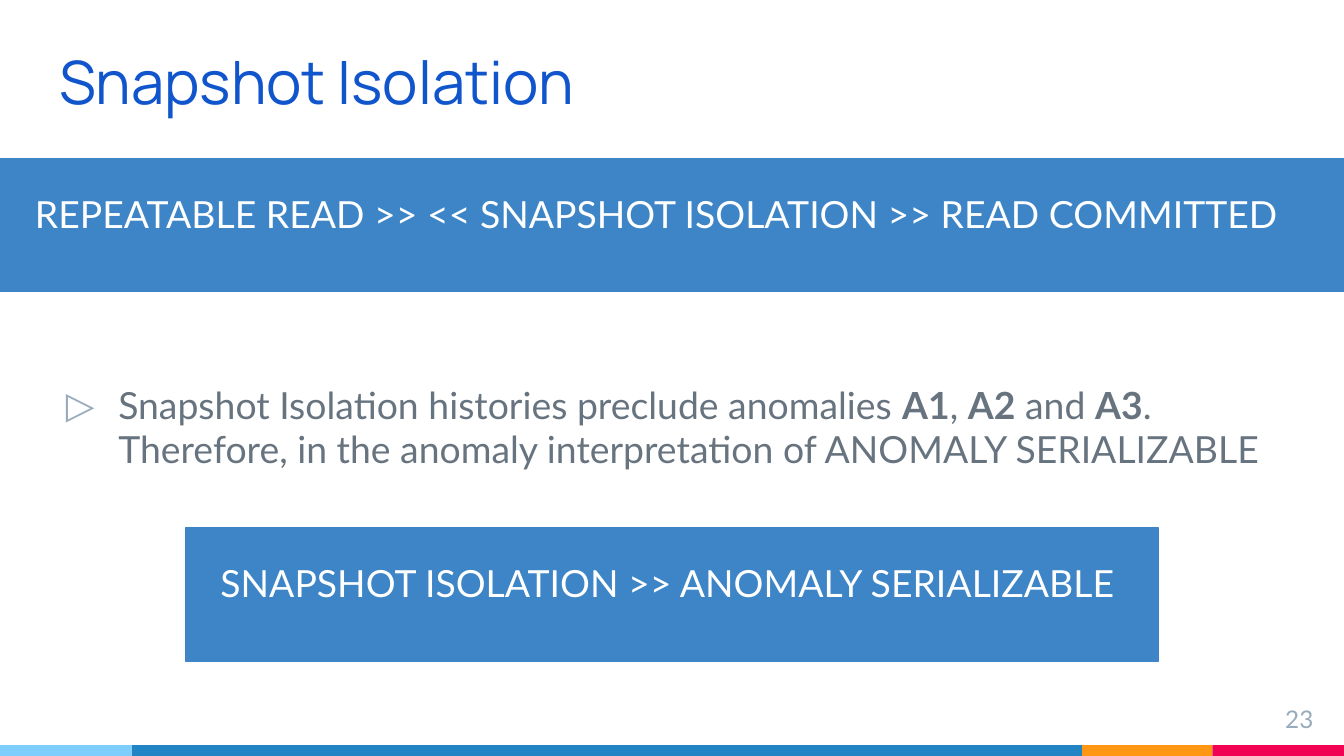
import dataclasses
import typing

import lxml.etree
import pptx
import pptx.dml.color
import pptx.enum.shapes
import pptx.enum.text
import pptx.oxml.ns
import pptx.util

Inches = pptx.util.Inches
Align = pptx.enum.text.PP_ALIGN
Anchor = pptx.enum.text.MSO_ANCHOR


@dataclasses.dataclass(frozen=True)
class Theme:
    title: str = "1155CC"
    body: str = "677480"
    muted: str = "97ABBC"
    banner: str = "3D85C6"
    white: str = "FFFFFF"
    title_font: str = "Manrope"
    body_font: str = "Lato"
    title_size: int = 32
    body_size: int = 20
    number_size: int = 13


class Box(typing.NamedTuple):
    left: float
    top: float
    width: float
    height: float


class Stripe(typing.NamedTuple):
    width: float
    color: str


class Banner(typing.NamedTuple):
    placeholder: int
    box: Box
    text: str


class Run(typing.NamedTuple):
    text: str
    bold: bool = False


THEME = Theme()
WIDTH = 10
HEIGHT = WIDTH * 9 / 16
STRIPE_HEIGHT = 0.08
STRIPES = [Stripe(0.98, "7ECEFD"), Stripe(7.07, "2185C5"),
           Stripe(0.97, "FF9715"), Stripe(0.98, "F20253")]
BANNER_INSET_X, BANNER_INSET_Y = 0.16, 0.14
BANNERS = [
    Banner(1, Box(0, 1.18, WIDTH, 0.99),
           "REPEATABLE READ >> << SNAPSHOT ISOLATION >> READ COMMITTED"),
    Banner(3, Box(1.38, 3.93, 7.24, 0.99),
           "SNAPSHOT ISOLATION >> ANOMALY SERIALIZABLE"),
]
STATEMENT = [
    Run("Snapshot Isolation histories preclude anomalies "),
    Run("A1", True), Run(", "), Run("A2", True), Run(" and "), Run("A3", True),
    Run(". Therefore, in the anomaly interpretation of ANOMALY SERIALIZABLE"),
]


def rgb(color: str) -> pptx.dml.color.RGBColor:
    return pptx.dml.color.RGBColor.from_string(color)


def place(shape, box: Box) -> None:
    shape.left, shape.top, shape.width, shape.height = map(Inches, box)


def set_bullet(paragraph, char: str | None, left: float, indent: float) -> None:
    properties = paragraph._p.get_or_add_pPr()
    properties.set("marL", str(Inches(left)))
    properties.set("indent", str(Inches(indent)))
    qn = pptx.oxml.ns.qn
    if char is None:
        lxml.etree.SubElement(properties, qn("a:buNone"))
        return
    bullet_color = lxml.etree.SubElement(properties, qn("a:buClr"))
    lxml.etree.SubElement(bullet_color, qn("a:srgbClr")).set("val", THEME.muted)
    lxml.etree.SubElement(properties, qn("a:buFont")).set("typeface", THEME.body_font)
    lxml.etree.SubElement(properties, qn("a:buChar")).set("char", char)


def write(shape, box: Box, runs: list[Run], *, color: str, size: int = THEME.body_size,
          font: str = THEME.body_font, align=Align.LEFT, anchor=Anchor.TOP,
          before: float = 0, bullet: str | None = None,
          left: float = 0, indent: float = 0) -> None:
    """Place a text shape and fill it with one formatted paragraph."""
    place(shape, box)
    frame = shape.text_frame
    frame.word_wrap = True
    frame.auto_size = pptx.enum.text.MSO_AUTO_SIZE.NONE
    frame.vertical_anchor = anchor
    frame.margin_left = frame.margin_right = Inches(0.1)
    frame.margin_top = frame.margin_bottom = Inches(0.1)
    paragraph = frame.paragraphs[0]
    paragraph.alignment = align
    paragraph.line_spacing = 1.0
    paragraph.space_before = pptx.util.Pt(before)
    set_bullet(paragraph, bullet, left, indent)
    for part in runs:
        run = paragraph.add_run()
        run.text = part.text
        run.font.name = font
        run.font.size = pptx.util.Pt(size)
        run.font.bold = part.bold
        run.font.color.rgb = rgb(color)


def add_block(slide, box: Box, color: str, outlined: bool = False) -> None:
    """Draw a plain rectangle behind the text placeholders."""
    block = slide.shapes.add_shape(
        pptx.enum.shapes.MSO_SHAPE.RECTANGLE, *map(Inches, box))
    block.shadow.inherit = False
    block.fill.solid()
    block.fill.fore_color.rgb = rgb(color)
    if outlined:
        block.line.color.rgb = rgb(color)
        block.line.width = pptx.util.Pt(0.75)
    else:
        block.line.fill.background()
    slide.shapes._spTree.insert(2, block._element)


def add_banner(slide, banner: Banner) -> None:
    box = banner.box
    add_block(slide, box, THEME.banner, outlined=True)
    text_box = Box(box.left + BANNER_INSET_X, box.top + BANNER_INSET_Y,
                   box.width - 2 * BANNER_INSET_X, box.height - 2 * BANNER_INSET_Y)
    write(slide.placeholders[banner.placeholder], text_box, [Run(banner.text)],
          color=THEME.white, before=6)


def main() -> None:
    deck = pptx.Presentation()
    deck.slide_width, deck.slide_height = Inches(WIDTH), Inches(HEIGHT)
    # The comparison layout offers a title and several bodies
    slide = deck.slides.add_slide(deck.slide_layouts[4])

    # Title
    write(slide.shapes.title, Box(0.34, 0.33, 7.07, 0.64), [Run("Snapshot Isolation")],
          color=THEME.title, size=THEME.title_size, font=THEME.title_font,
          anchor=Anchor.BOTTOM)

    # Statement between the banners
    write(slide.placeholders[2], Box(0.28, 2.74, 9.44, 1.2), STATEMENT,
          color=THEME.body, before=6, bullet="▷", left=0.5, indent=-0.39)

    # Banners
    for banner in BANNERS:
        add_banner(slide, banner)

    # Unused body
    spare = slide.placeholders[4]._element
    spare.getparent().remove(spare)

    # Footer stripes and page number
    left = 0.0
    for stripe in STRIPES:
        add_block(slide, Box(left, HEIGHT - STRIPE_HEIGHT, stripe.width, STRIPE_HEIGHT),
                  stripe.color)
        left += stripe.width
    number_box = Box(9.27, 5.14, 0.6, 0.34)
    write(slide.shapes.add_textbox(*map(Inches, number_box)), number_box, [Run("23")],
          color=THEME.muted, size=THEME.number_size, align=Align.RIGHT)

    deck.save("out.pptx")


if __name__ == "__main__":
    main()
